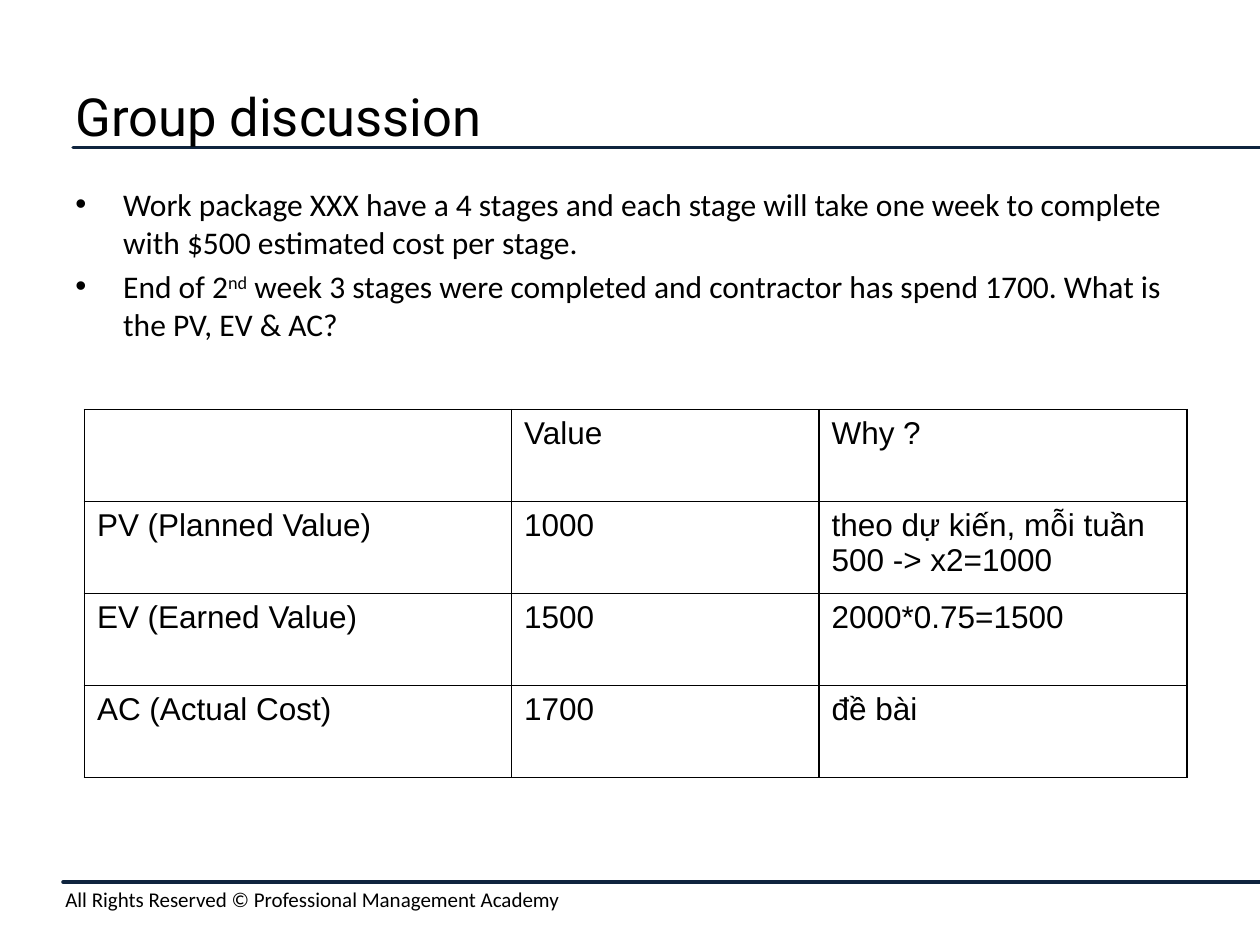
from lxml import etree
from pptx import Presentation
from pptx.dml.color import RGBColor
from pptx.enum.shapes import MSO_CONNECTOR
from pptx.enum.text import MSO_ANCHOR
from pptx.oxml.ns import qn
from pptx.util import Inches, Pt

BLACK = RGBColor(0x00, 0x00, 0x00)
NAVY = RGBColor(0x0F, 0x24, 0x3E)


class SlideBuilder:
    """Holds the style and the current slide."""

    title_font, body_font, table_font = "Roboto", "Calibri", "Arial"
    body_size = 18

    def __init__(self, slide):
        self.s = slide

    def add_run(self, p, text, font, size, superscript=False):
        r = p.add_run()
        r.text = text
        r.font.name = font
        r.font.size = Pt(size)
        r.font.color.rgb = BLACK
        if superscript:
            r.font._element.set("baseline", "30000")

    def rule(self, x, y):
        """Horizontal line running to the right edge of the slide."""
        line = self.s.shapes.add_connector(
            MSO_CONNECTOR.STRAIGHT, Inches(x), Inches(y), Inches(10), Inches(y))
        line.line.color.rgb = NAVY
        line.line.width = Pt(2)
        etree.SubElement(line._element.spPr, qn("a:effectLst"))
        etree.SubElement(line.line._ln, qn("a:round"))
        line.line._ln.set("cap", "rnd")

    def text_frame(self, x, y, w, h, anchor=MSO_ANCHOR.TOP):
        sp = self.s.shapes.add_textbox(Inches(x), Inches(y), Inches(w), Inches(h))
        tf = sp.text_frame
        tf.word_wrap = True
        tf.vertical_anchor = anchor
        return tf

    def label(self, text, box, font, size, anchor=MSO_ANCHOR.TOP):
        tf = self.text_frame(*box, anchor)
        self.add_run(tf.paragraphs[0], text, font, size)

    def bullets(self, items, box):
        """Each item is a list of (text, superscript) runs."""
        tf = self.text_frame(*box)
        for i, runs in enumerate(items):
            p = tf.add_paragraph() if i else tf.paragraphs[0]
            pPr = p._p.get_or_add_pPr()
            pPr.set("marL", str(Inches(0.38)))
            pPr.set("indent", str(Inches(-0.38)))
            etree.SubElement(pPr, qn("a:buFont"), typeface="Arial")
            etree.SubElement(pPr, qn("a:buChar"), char="•")
            if i:
                p.space_before = Pt(3.6)
            for text, superscript in runs:
                self.add_run(p, text, self.body_font, self.body_size, superscript)

    def border(self, cell):
        tcPr = cell._tc.get_or_add_tcPr()
        for side in ("lnL", "lnR", "lnT", "lnB"):
            ln = etree.SubElement(tcPr, qn(f"a:{side}"), w=str(Pt(1)))
            fill = etree.SubElement(ln, qn("a:solidFill"))
            etree.SubElement(fill, qn("a:srgbClr"), val=str(BLACK))

    def table(self, rows, x, y, widths, row_height):
        table = self.s.shapes.add_table(
            len(rows), len(widths), Inches(x), Inches(y),
            Inches(sum(widths)), Inches(row_height * len(rows))).table
        table.first_row = table.horz_banding = False
        for column, width in zip(table.columns, widths):
            column.width = Inches(width)
        for row, texts in zip(table.rows, rows):
            row.height = Inches(row_height)
            for cell, text in zip(row.cells, texts):
                self.border(cell)
                cell.fill.background()
                p = cell.text_frame.paragraphs[0]
                if text:
                    self.add_run(p, text, self.table_font, self.body_size)


def main():
    prs = Presentation()
    prs.slide_width, prs.slide_height = Inches(10), Inches(7.5)
    b = SlideBuilder(prs.slides.add_slide(prs.slide_layouts[6]))

    # Rules and footer
    b.rule(0.58, 1.17)
    b.rule(0.5, 7)
    b.label("All Rights Reserved © Professional Management Academy",
            (0.42, 6.99, 9.58, 0.3), b.body_font, 12)

    # Title
    b.label("Group discussion", (0.5, 0.5, 9, 0.83), b.title_font, 30,
            MSO_ANCHOR.MIDDLE)

    # Question
    b.bullets([
        [("Work package XXX have a 4 stages and each stage will take one week "
          "to complete with $500 estimated cost per stage.", False)],
        [("End of 2", False), ("nd", True),
         (" week 3 stages were completed and contractor has spend 1700. "
          "What is the PV, EV & AC?", False)],
    ], (0.5, 1.42, 9, 5.28))

    # Answers
    b.table([
        ("", "Value", "Why ?"),
        ("PV (Planned Value)", "1000", "theo dự kiến, mỗi tuần 500 -> x2=1000"),
        ("EV (Earned Value)", "1500", "2000*0.75=1500"),
        ("AC (Actual Cost)", "1700", "đề bài"),
    ], 0.67, 3.25, (3.39, 2.44, 2.92), 0.73)

    prs.save("out.pptx")


if __name__ == "__main__":
    main()
